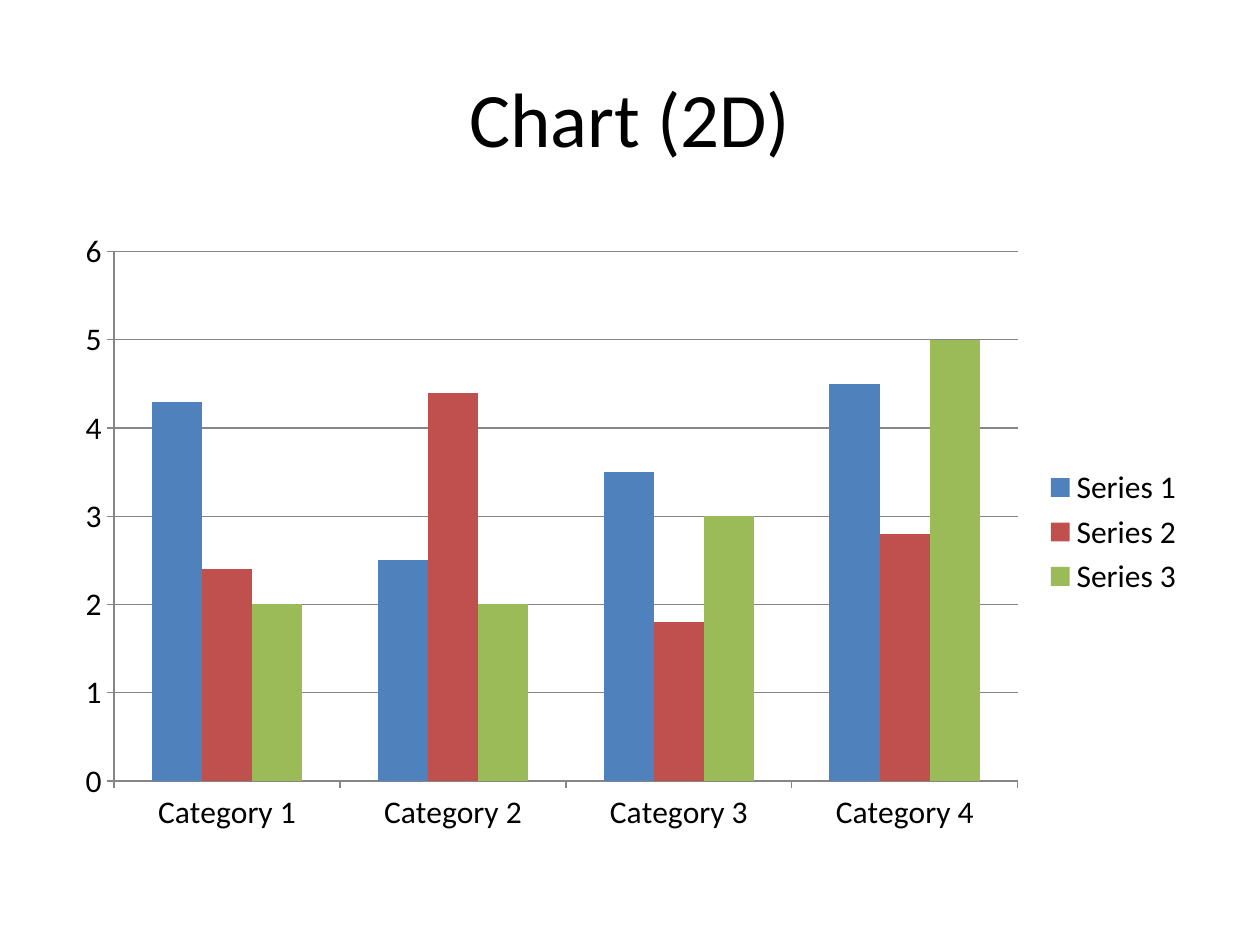
from pptx import Presentation
from pptx.chart.data import CategoryChartData
from pptx.dml.color import RGBColor
from pptx.enum.chart import XL_CHART_TYPE, XL_LEGEND_POSITION, XL_TICK_MARK
from pptx.enum.text import MSO_ANCHOR, PP_ALIGN
from pptx.util import Pt

THEME = {
    "font": "Calibri",
    "title_size": Pt(44),
    "chart_size": Pt(18),
    "text": RGBColor.from_string("000000"),
    "line": RGBColor.from_string("868686"),
    "series": [RGBColor.from_string(c) for c in ("4F81BD", "C0504D", "9BBB59")],
}
EMU_PER_INCH, PX_PER_INCH = 914400, 126


def px(*lengths):
    return [round(length * EMU_PER_INCH / PX_PER_INCH) for length in lengths]


def set_format(target, values):
    for name, value in values.items():
        setattr(target, name, value)


# Page
deck = Presentation()
deck.slide_width, deck.slide_height = px(1260, 945)
page = deck.slides.add_slide(deck.slide_layouts[6])

# Title
box = page.shapes.add_textbox(*px(63, 38, 1134, 158))
set_format(box.text_frame, {"word_wrap": True, "vertical_anchor": MSO_ANCHOR.MIDDLE})
para = box.text_frame.paragraphs[0]
para.alignment = PP_ALIGN.CENTER
span = para.add_run()
span.text = "Chart (2D)"
set_format(span.font, {"name": THEME["font"], "size": THEME["title_size"]})
span.font.color.rgb = THEME["text"]

# Chart data
data = CategoryChartData()
data.categories = [f"Category {number}" for number in range(1, 5)]
rows = [(4.3, 2.5, 3.5, 4.5), (2.4, 4.4, 1.8, 2.8), (2, 2, 3, 5)]
for number, values in enumerate(rows, 1):
    data.add_series(f"Series {number}", values)

# Clustered columns
chart = page.shapes.add_chart(
    XL_CHART_TYPE.COLUMN_CLUSTERED, *px(63, 220, 1134, 624), data
).chart
chart.has_title = False
set_format(chart.font, {"name": THEME["font"], "size": THEME["chart_size"]})
chart.font.color.rgb = THEME["text"]
plot = chart.plots[0]
set_format(plot, {"gap_width": 150, "overlap": 0, "vary_by_categories": False})
for series, color in zip(plot.series, THEME["series"]):
    series.format.fill.solid()
    series.format.fill.fore_color.rgb = color

# Axes and gridlines
category_axis, value_axis = chart.category_axis, chart.value_axis
set_format(value_axis, {"minimum_scale": 0, "maximum_scale": 6, "major_unit": 1,
                        "has_major_gridlines": True})
for axis in (category_axis, value_axis):
    set_format(axis, {"major_tick_mark": XL_TICK_MARK.OUTSIDE,
                      "minor_tick_mark": XL_TICK_MARK.NONE})
for part in (category_axis, value_axis, value_axis.major_gridlines):
    part.format.line.color.rgb = THEME["line"]
    part.format.line.width = Pt(0.75)

# Legend
chart.has_legend = True
set_format(chart.legend, {"position": XL_LEGEND_POSITION.RIGHT,
                          "include_in_layout": False})

deck.save("out.pptx")
